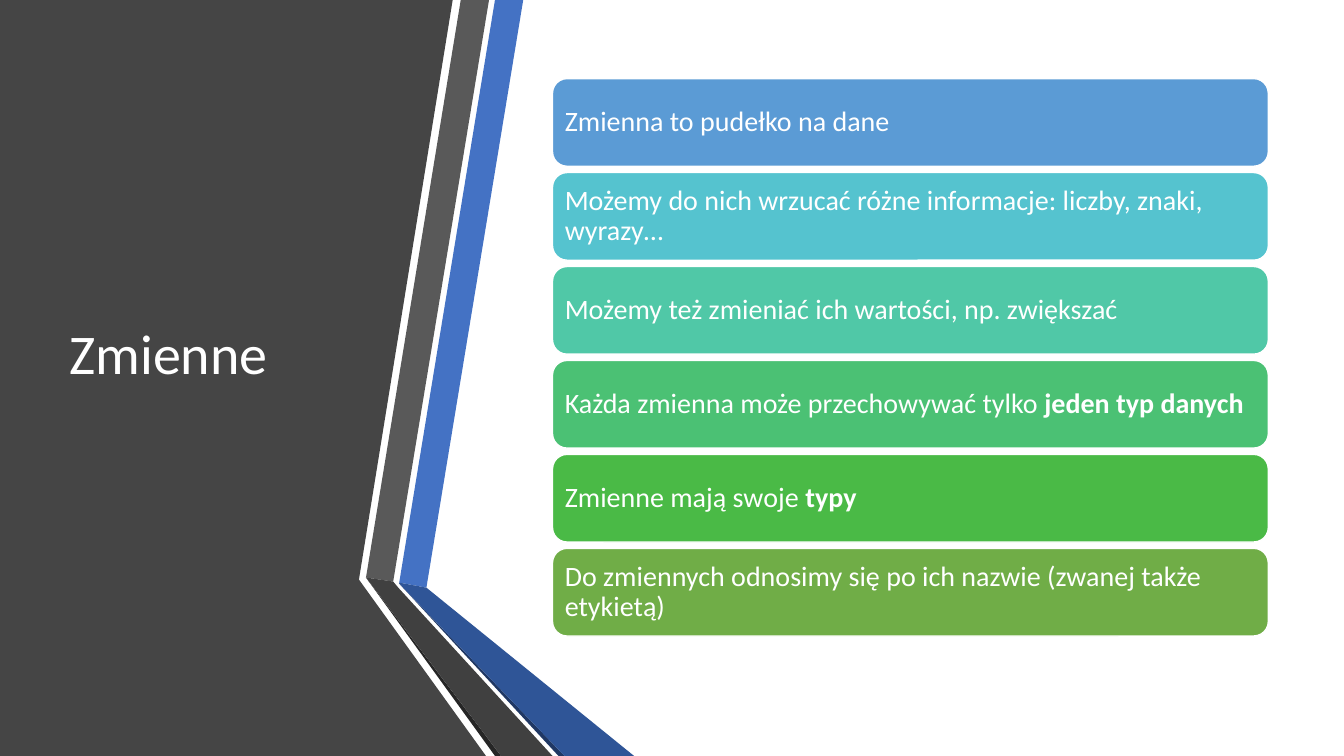
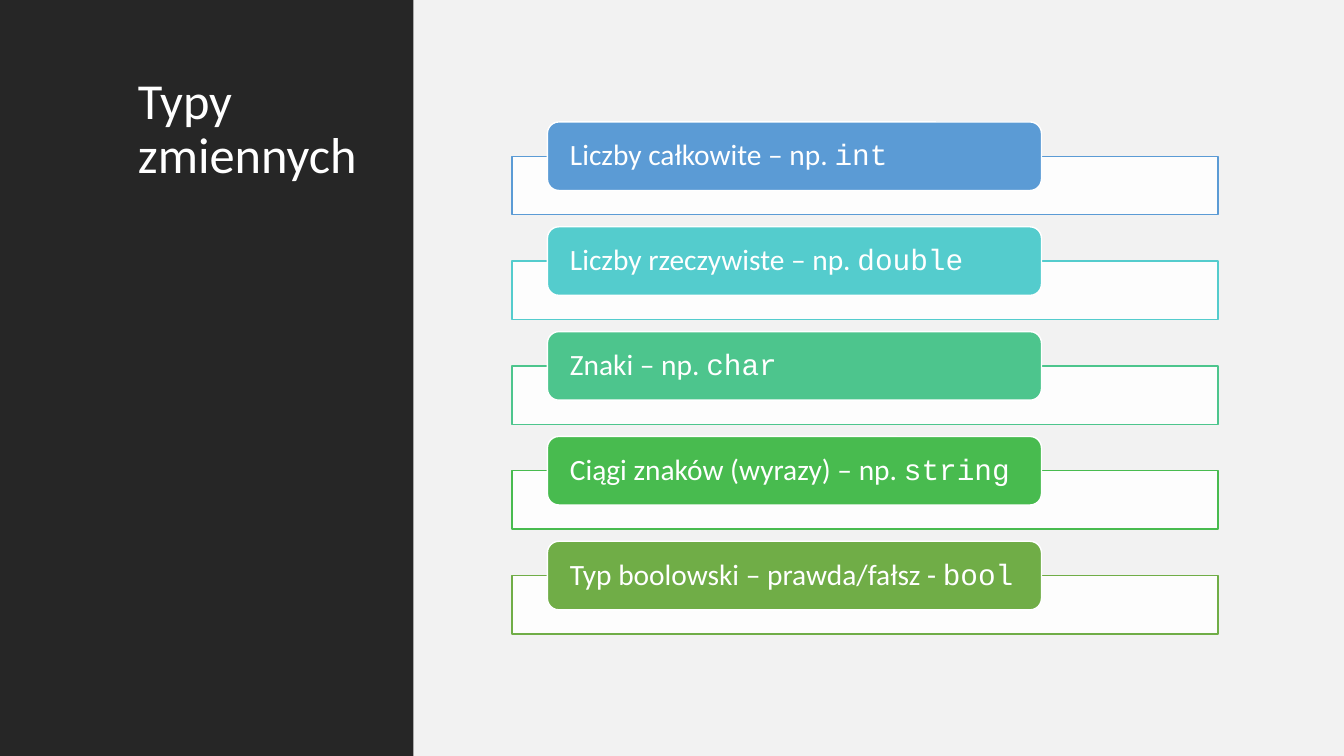
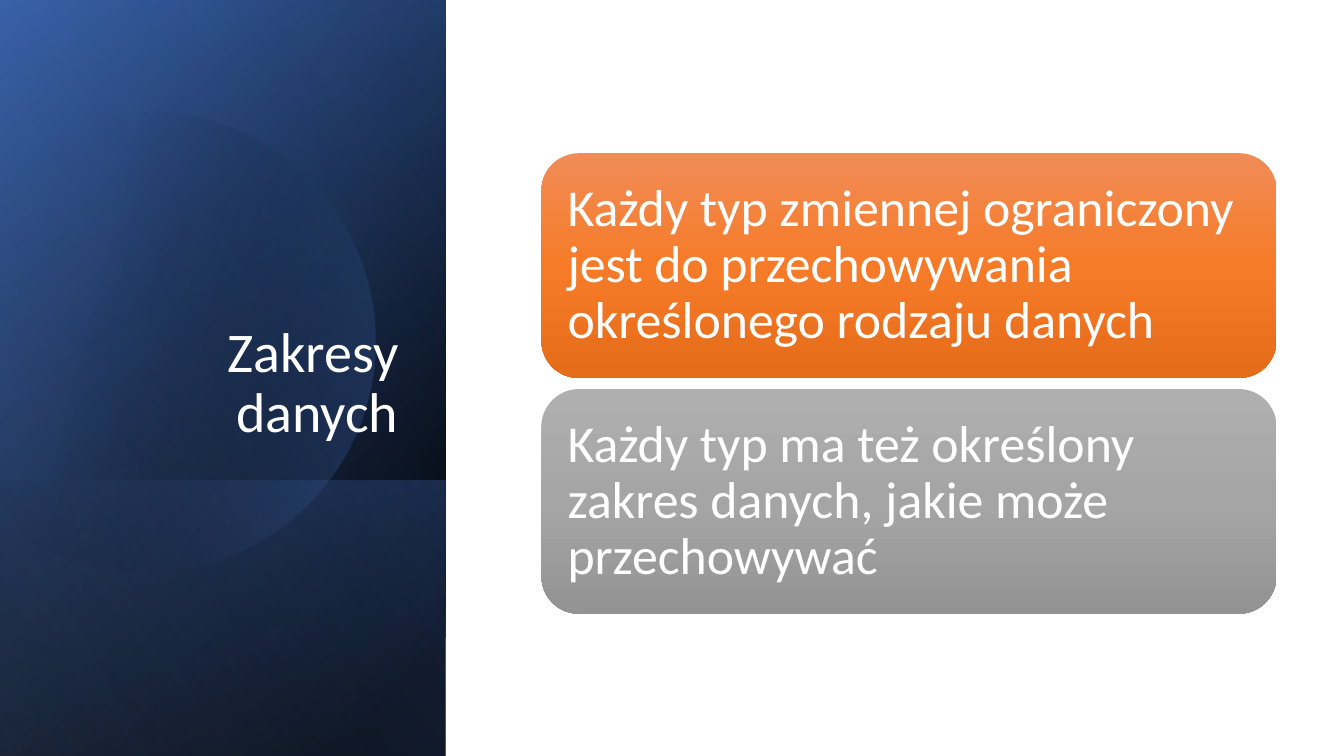
from lxml import etree
from pptx import Presentation
from pptx import util as u
from pptx.dml.color import RGBColor
from pptx.enum import shapes, text
from pptx.oxml.ns import qn

WHITE = RGBColor(0xFF, 0xFF, 0xFF)
BLACK = RGBColor(0x00, 0x00, 0x00)
COAL = RGBColor(0x26, 0x26, 0x26)
DARK = RGBColor(0x40, 0x40, 0x40)
SLATE = RGBColor(0x45, 0x45, 0x45)
GREY = RGBColor(0x59, 0x59, 0x59)
PALE = RGBColor(0xF2, 0xF2, 0xF2)
BLUE = RGBColor(0x44, 0x72, 0xC4)
DEEP = RGBColor(0x2F, 0x55, 0x97)
NAVY = RGBColor(0x20, 0x38, 0x64)
LIGHT = RGBColor(0x8F, 0xAA, 0xDC)
SKY = RGBColor(0x5B, 0x9B, 0xD5)
AQUA = RGBColor(0x55, 0xC3, 0xCF)
TEAL = RGBColor(0x50, 0xC8, 0xA7)
MINT = RGBColor(0x4B, 0xC1, 0x74)
GREEN = RGBColor(0x4A, 0xBA, 0x46)
OLIVE = RGBColor(0x70, 0xAD, 0x47)
CYAN = RGBColor(0x54, 0xCC, 0xCD)
JADE = RGBColor(0x4D, 0xC5, 0x8D)
GRASS = RGBColor(0x48, 0xBB, 0x4F)
ORANGE = [(0, RGBColor(0xF1, 0x8C, 0x57), 100),
          (50, RGBColor(0xF6, 0x7B, 0x28), 100),
          (100, RGBColor(0xE5, 0x6C, 0x19), 100)]
SILVER = [(0, RGBColor(0xAF, 0xAF, 0xAF), 100),
          (50, RGBColor(0xA5, 0xA5, 0xA5), 100),
          (100, RGBColor(0x93, 0x93, 0x93), 100)]

SANS = "Calibri"
MONO = "Courier New"
RECT = shapes.MSO_SHAPE.RECTANGLE
ROUND = shapes.MSO_SHAPE.ROUNDED_RECTANGLE
TOP = text.MSO_ANCHOR.TOP
MID = text.MSO_ANCHOR.MIDDLE
LOW = text.MSO_ANCHOR.BOTTOM
LEFT = text.PP_ALIGN.LEFT
RIGHT = text.PP_ALIGN.RIGHT


def draw(slide, form, at, fill, line=None, alpha=100, angle=0):
    if form:
        shape = slide.shapes.add_shape(form, *map(u.Inches, at))
    else:
        dots = [(u.Inches(x), u.Inches(y)) for x, y in at]
        pen = slide.shapes.build_freeform(*dots[0])
        pen.add_line_segments(dots[1:], close=True)
        shape = pen.convert_to_shape()
    shape.shadow.inherit = False
    if line:
        shape.line.color.rgb = line
        shape.line.width = u.Pt(1)
    else:
        shape.line.fill.background()
    props = shape._element.spPr
    if isinstance(fill, list):
        shape.fill.gradient()
        grad = props.find(qn("a:gradFill"))
        grad.find(qn("a:lin")).set("ang", str(angle * 60000))
        stops = grad.find(qn("a:gsLst"))
        for old in list(stops):
            stops.remove(old)
        for pos, tint, part in fill:
            stop = etree.SubElement(stops, qn("a:gs"), pos=str(pos * 1000))
            tone = etree.SubElement(stop, qn("a:srgbClr"), val=str(tint))
            etree.SubElement(tone, qn("a:alpha"), val=str(part * 1000))
    else:
        shape.fill.solid()
        shape.fill.fore_color.rgb = fill
        if alpha < 100:
            tone = props.find(qn("a:solidFill")).find(qn("a:srgbClr"))
            etree.SubElement(tone, qn("a:alpha"), val=str(alpha * 1000))
    return shape


def write(shape, words, size=40, tail="", bold=False, font=SANS,
          anchor=MID, align=LEFT, inset=(0.1, 0.05)):
    frame = shape.text_frame
    frame.word_wrap = True
    frame.vertical_anchor = anchor
    frame.margin_left = frame.margin_right = u.Inches(inset[0])
    frame.margin_top = frame.margin_bottom = u.Inches(inset[1])
    para = frame.paragraphs[0]
    para.alignment = align
    para.line_spacing = 0.9
    for part, face, heavy in ((words, SANS, False), (tail, font, bold)):
        if part:
            run = para.add_run()
            run.text = part
            run.font.name = face
            run.font.bold = heavy
            run.font.size = u.Pt(size)
            run.font.color.rgb = WHITE


deck = Presentation()
deck.slide_width = u.Inches(13.33)
deck.slide_height = u.Inches(7.5)
blank = deck.slide_layouts[6]
one, two, three = [deck.slides.add_slide(blank) for _ in range(3)]

bands = [
    (SLATE, [(0, 0), (4.49, 0), (3.56, 5.75), (4.82, 7.5), (0, 7.5)]),
    (BLUE, [(3.96, 5.78), (4.23, 5.83), (5.19, 0), (4.91, 0)]),
    (GREY, [(4.85, 0), (4.57, 0), (3.63, 5.73), (3.9, 5.77)]),
    (COAL, [(3.63, 5.73), (4.91, 7.5), (4.97, 7.5)]),
    (NAVY, [(3.96, 5.79), (5.54, 7.5), (5.6, 7.5)]),
    (DEEP, [(3.96, 5.79), (5.6, 7.5), (6.29, 7.5), (4.23, 5.83), (3.96, 5.78)]),
    (DARK, [(5.48, 7.5), (3.95, 5.83), (3.9, 5.77), (3.63, 5.73), (4.97, 7.5)]),
]
for tint, dots in bands:
    draw(one, None, dots, tint)

facts = [
    (SKY, "Zmienna to pudełko na dane", ""),
    (AQUA, "Możemy do nich wrzucać różne informacje: liczby, znaki, wyrazy…", ""),
    (TEAL, "Możemy też zmieniać ich wartości, np. zwiększać", ""),
    (MINT, "Każda zmienna może przechowywać tylko ", "jeden typ danych"),
    (GREEN, "Zmienne mają swoje ", "typy"),
    (OLIVE, "Do zmiennych odnosimy się po ich nazwie (zwanej także etykietą)", ""),
]
step = (5.44 - 0.78) / (len(facts) - 1)
for row, (tint, words, tail) in enumerate(facts):
    card = draw(one, ROUND, (5.48, 0.78 + step * row, 7.1, 0.87), tint, WHITE)
    write(card, words, size=20, tail=tail, bold=True, inset=(0.08, 0.08))

draw(two, RECT, (4.09, 0, 9.24, 7.5), PALE)
draw(two, RECT, (0, 0, 4.1, 7.5), COAL)
types = [
    (SKY, "Liczby całkowite – np. ", "int"),
    (CYAN, "Liczby rzeczywiste – np. ", "double"),
    (JADE, "Znaki – np. ", "char"),
    (GRASS, "Ciągi znaków (wyrazy) – np. ", "string"),
    (OLIVE, "Typ boolowski – prawda/fałsz - ", "bool"),
]
for row, (tint, words, tail) in enumerate(types):
    top = 1.21 + 1.04 * row
    draw(two, RECT, (5.08, top + 0.34, 7, 0.58), WHITE, tint, alpha=90)
    card = draw(two, ROUND, (5.43, top, 4.9, 0.68), tint, WHITE)
    write(card, words, size=21, tail=tail, font=MONO, inset=(0.19, 0))

full = (-1.54, 1.54, 7.5, 4.42)
foot = (0.84, 3.93, 2.74, 4.42)
disc = [(-0.15, 1.72), (0.64, 0.97), (1.84, 0.86), (2.75, 1.5),
        (3.69, 2.16), (3.99, 3.4), (3.46, 4.4),
        (2.79, 5.67), (1.02, 6.15), (-0.15, 5.04)]
layers = [
    (RECT, full, 50, [(8, BLACK, 100), (100, DEEP, 100)]),
    (RECT, full, 30, [(0, BLACK, 0), (99, BLUE, 46)]),
    (RECT, foot, 130, [(2, BLUE, 29), (100, BLACK, 30)]),
    (None, [(-0.15, 1.75), (0, 1.61), (0.23, 1.42), (0.5, 1.28), (0.8, 1.19),
            (1.03, 1.13), (1.26, 1.1), (1.49, 1.1),
            (2.46, 1.12), (3.35, 1.77), (3.63, 2.75),
            (3.98, 3.97), (3.28, 5.23), (2.07, 5.58),
            (1.31, 5.8), (0.53, 5.61), (-0.03, 5.14), (-0.15, 5.03)],
     14, [(29, BLACK, 0), (100, BLUE, 43)]),
    (RECT, full, 120, [(0, BLACK, 0), (99, LIGHT, 11)]),
]
for form, at, angle, fill in layers:
    layer = draw(three, form, at, fill, angle=angle)
    if form:
        layer.rotation = 90
        layer._element.spPr.find(qn("a:xfrm")).set("flipH", "1")
    else:
        legs = list(layer._element.iter(qn("a:lnTo")))[1:16]
        for first in range(0, len(legs), 3):
            curve = etree.Element(qn("a:cubicBezTo"))
            legs[first].addprevious(curve)
            for leg in legs[first:first + 3]:
                curve.append(leg[0])
                leg.getparent().remove(leg)

rules = [
    (ORANGE, "Każdy typ zmiennej ograniczony jest do przechowywania określonego rodzaju danych"),
    (SILVER, "Każdy typ ma też określony zakres danych, jakie może przechowywać"),
]
for row, (fill, words) in enumerate(rules):
    card = draw(three, ROUND, (5.37, 1.52 + 2.34 * row, 7.29, 2.23), fill, angle=90)
    write(card, words, size=37, inset=(0.15, 0.15))

heads = [
    (one, (0.59, 0.75, 3.04, 5.58), "Zmienne", 40, MID, LEFT),
    (two, (1.27, 0.7, 2.4, 6.1), "Typy zmiennych", 36, TOP, LEFT),
    (three, (0.64, 1.84, 3.41, 2.62), "Zakresy danych", 40, LOW, RIGHT),
]
for slide, at, words, size, anchor, align in heads:
    head = slide.shapes.add_textbox(*map(u.Inches, at))
    write(head, words, size=size, anchor=anchor, align=align)

deck.save("out.pptx")
